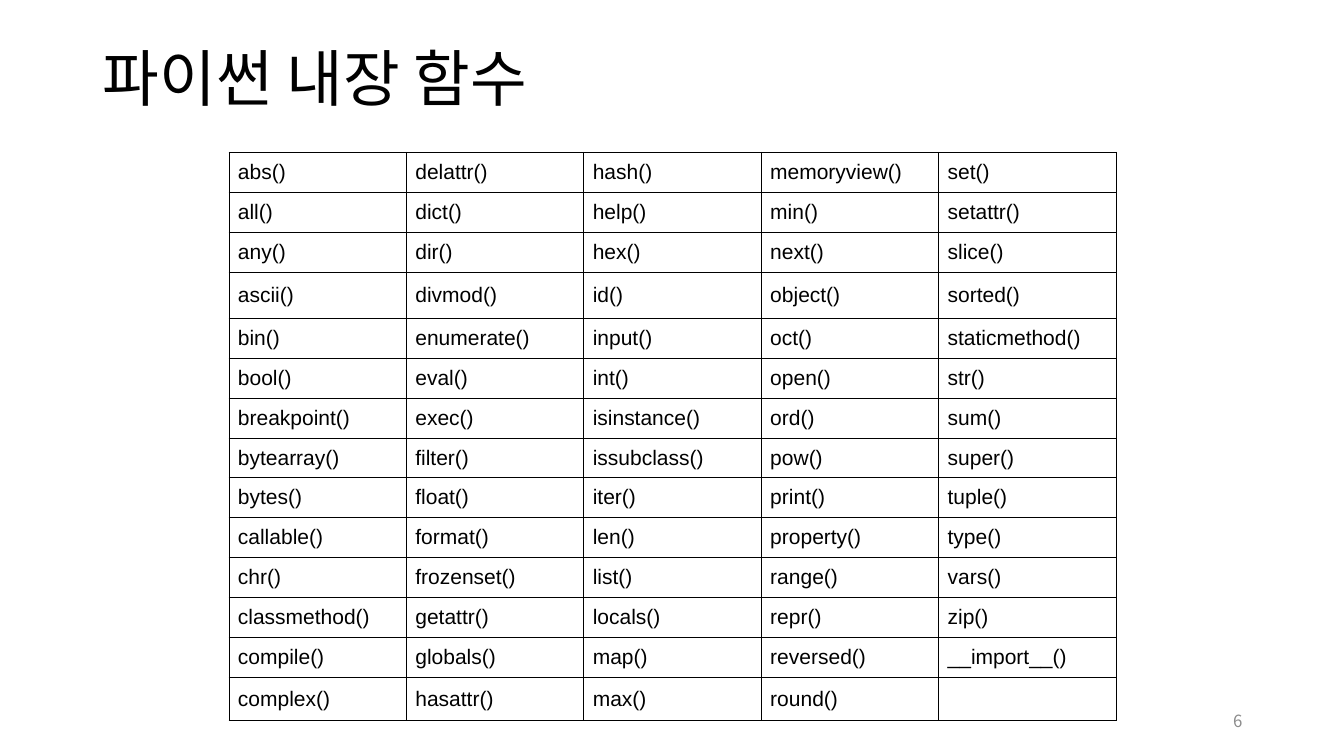
from dataclasses import dataclass

from lxml.etree import SubElement
from pptx import Presentation
from pptx.dml.color import RGBColor
from pptx.enum.text import MSO_ANCHOR, PP_ALIGN
from pptx.oxml import parse_xml
from pptx.oxml.ns import nsdecls, qn
from pptx.util import Inches, Pt


@dataclass(frozen=True)
class Theme:
    """Colours, fonts and sizes of the slide."""
    ink: str = "000000"
    muted: str = "8C8C8C"
    heading: str = "Noto Sans CJK KR"
    body: str = "Arial"
    title_size: int = 44
    cell_size: int = 15
    number_size: int = 12
    border: float = 0.5


THEME = Theme()

FUNCTIONS = [column.split() for column in (
    "abs() all() any() ascii() bin() bool() breakpoint() bytearray() bytes() "
    "callable() chr() classmethod() compile() complex()",
    "delattr() dict() dir() divmod() enumerate() eval() exec() filter() float() "
    "format() frozenset() getattr() globals() hasattr()",
    "hash() help() hex() id() input() int() isinstance() issubclass() iter() "
    "len() list() locals() map() max()",
    "memoryview() min() next() object() oct() open() ord() pow() print() "
    "property() range() repr() reversed() round()",
    "set() setattr() slice() sorted() staticmethod() str() sum() super() tuple() "
    "type() vars() zip() __import__()",
)]
TALL_ROWS = {3: 0.46, 13: 0.43}


def write(tf, text, *, size, font, color=THEME.ink, align=PP_ALIGN.LEFT, spacing=1.0):
    """Put one formatted paragraph in a text frame."""
    p = tf.paragraphs[0]
    p.alignment = align
    p.line_spacing = spacing
    r = p.add_run()
    r.text = text
    r.font.size = Pt(size)
    r.font.name = font
    r.font.color.rgb = RGBColor.from_string(color)
    SubElement(r.font._element, qn("a:ea"), typeface=font)


def add_title(s, text, left, top, width, height):
    """Place the slide title in the given box."""
    sp = s.shapes.title
    sp.left, sp.top, sp.width, sp.height = map(Inches, (left, top, width, height))
    sp.text_frame.vertical_anchor = MSO_ANCHOR.MIDDLE
    write(sp.text_frame, text, size=THEME.title_size, font=THEME.heading, spacing=0.9)


def add_number(s, text, left, top, width, height):
    """Place the slide number at the right of the given box."""
    tf = s.shapes.add_textbox(*map(Inches, (left, top, width, height))).text_frame
    tf.word_wrap = True
    tf.vertical_anchor = MSO_ANCHOR.MIDDLE
    write(tf, text, size=THEME.number_size, font=THEME.heading,
          color=THEME.muted, align=PP_ALIGN.RIGHT)


def format_cell(cell):
    """Clear the fill of a cell, centre it and draw its four borders."""
    cell.vertical_anchor = MSO_ANCHOR.MIDDLE
    cell.margin_left = cell.margin_right = Inches(0.09)
    cell.margin_top = cell.margin_bottom = Inches(0.05)
    cell.fill.background()
    for i, side in enumerate("LRTB"):
        cell._tc.tcPr.insert(i, parse_xml(
            f'<a:ln{side} {nsdecls("a")} w="{Pt(THEME.border)}"><a:solidFill>'
            f'<a:srgbClr val="{THEME.ink}"/></a:solidFill></a:ln{side}>'))


def add_function_table(s, columns, left, top, width, height):
    """Fill the given box with a table that lists the functions by column."""
    n = max(map(len, columns))
    frame = s.shapes.add_table(n, len(columns), *map(Inches, (left, top, width, height)))
    table = frame.table
    table.first_row = table.horz_banding = False
    row_height = (height - sum(TALL_ROWS.values())) / (n - len(TALL_ROWS))
    for i, row in enumerate(table.rows):
        row.height = Inches(TALL_ROWS.get(i, row_height))
    for j, names in enumerate(columns):
        table.columns[j].width = Inches(width / len(columns))
        for i in range(n):
            cell = table.cell(i, j)
            format_cell(cell)
            if i < len(names):
                write(cell.text_frame, names[i], size=THEME.cell_size, font=THEME.body)


def main():
    """Build the slide and save it."""
    prs = Presentation()
    prs.slide_width, prs.slide_height = Inches(13.33), Inches(7.5)
    s = prs.slides.add_slide(prs.slide_layouts[5])
    add_title(s, "파이썬 내장 함수", 0.92, 0.4, 11.5, 0.81)
    add_number(s, "6", 9.42, 6.95, 3, 0.4)
    add_function_table(s, FUNCTIONS, 2.27, 1.51, 8.8, 5.64)
    prs.save("out.pptx")


if __name__ == "__main__":
    main()
